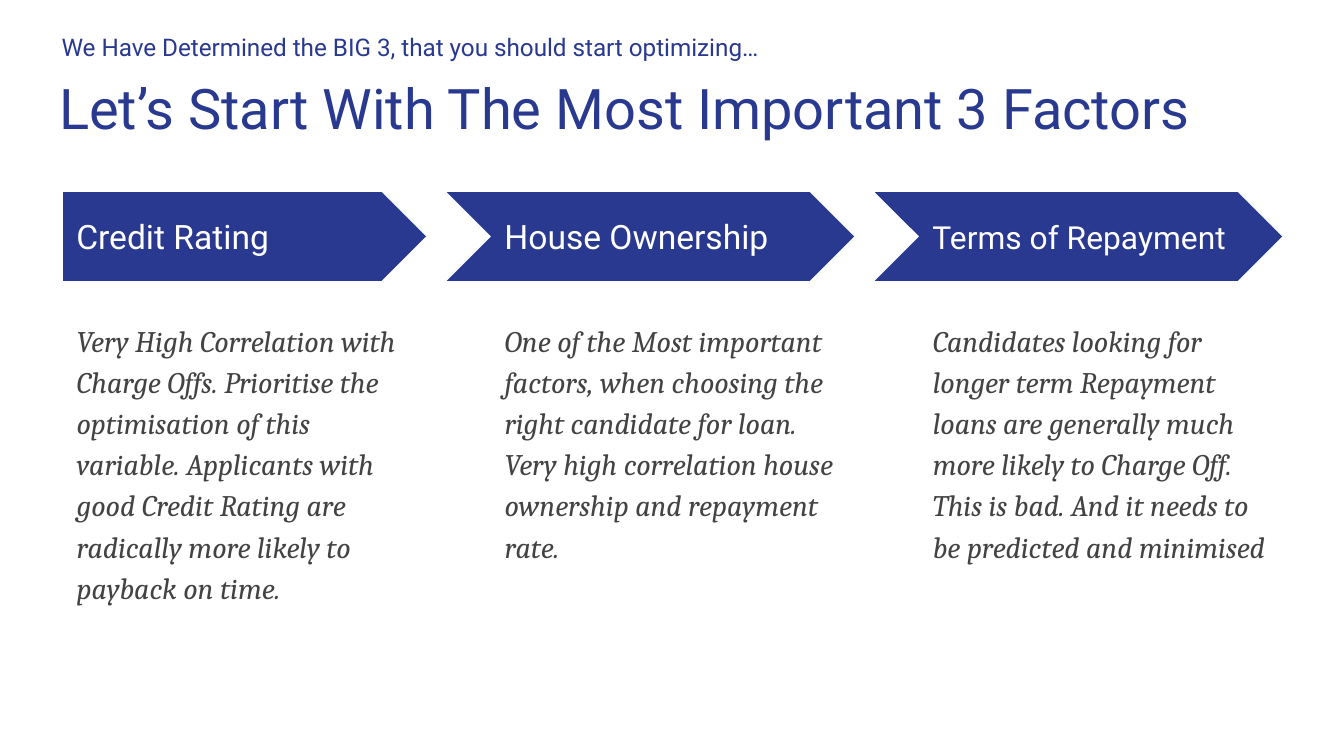
from dataclasses import dataclass

from lxml import etree
from pptx import Presentation
from pptx.dml.color import RGBColor
from pptx.enum.shapes import MSO_SHAPE
from pptx.enum.text import MSO_ANCHOR, MSO_AUTO_SIZE, PP_ALIGN
from pptx.oxml.ns import qn
from pptx.util import Inches, Pt

PLATE, CHEVRON = MSO_SHAPE.PENTAGON, MSO_SHAPE.CHEVRON
TOP, MIDDLE = MSO_ANCHOR.TOP, MSO_ANCHOR.MIDDLE
LEFT = PP_ALIGN.LEFT
NO_FIT = MSO_AUTO_SIZE.NONE
COMPARISON = 4  # layout with a title and four body placeholders

COLORS = {"navy": "2A3990", "white": "FFFFFF", "gray": "434343"}
START, LAST, WIDTH = 0.47, 6.84, 2.7
STEP = (LAST - START) / 2
NOTCH = 0.33  # how far a chevron reaches left of its text


@dataclass
class Style:
    font: str
    size: float
    color: str
    italic: bool = False
    anchor: int = TOP
    line: float = 1.0
    after: float = 0


@dataclass
class Factor:
    name: str
    text: str
    size: float = 18


FACTORS = [
    Factor("Credit Rating",
           "Very High Correlation with Charge Offs. Prioritise the optimisation "
           "of this variable. Applicants with good Credit Rating are radically "
           "more likely to payback on time."),
    Factor("House Ownership",
           "One of the Most important factors, when choosing the right candidate "
           "for loan. Very high correlation house ownership and repayment rate."),
    Factor("Terms of Repayment",
           "Candidates looking for longer term Repayment loans are generally much "
           "more likely to Charge Off. This is bad. And it needs to be predicted "
           "and minimised", 17),
]
BODY = Style("Cambria", 16, "gray", italic=True, line=1.15, after=8)


def rgb(name: str) -> RGBColor:
    return RGBColor.from_string(COLORS[name])


def place(shape, left: float, top: float, width: float, height: float) -> None:
    shape.left, shape.top = Inches(left), Inches(top)
    shape.width, shape.height = Inches(width), Inches(height)


def write(shape, text: str, style: Style) -> None:
    """Fill a text box or placeholder with one plain paragraph."""
    frame = shape.text_frame
    frame.word_wrap = True
    frame.auto_size = NO_FIT
    frame.vertical_anchor = style.anchor
    frame.margin_left = frame.margin_right = Inches(0.1)
    frame.margin_top = frame.margin_bottom = Inches(0.1)
    para = frame.paragraphs[0]
    para.alignment = LEFT
    para.line_spacing = style.line
    para.space_before, para.space_after = Pt(0), Pt(style.after)
    props = para._p.get_or_add_pPr()
    props.set("marL", "0")
    props.set("indent", "0")
    etree.SubElement(props, qn("a:buNone"))
    run = para.add_run()
    run.text = text
    font = run.font
    font.name, font.size = style.font, Pt(style.size)
    font.bold, font.italic = False, style.italic
    font.color.rgb = rgb(style.color)


def add_text(slide, left: float, top: float, width: float, height: float,
             text: str, style: Style) -> None:
    box = slide.shapes.add_textbox(0, 0, 0, 0)
    place(box, left, top, width, height)
    write(box, text, style)


def add_arrow(slide, kind: int, left: float, width: float) -> None:
    arrow = slide.shapes.add_shape(kind, 0, 0, 0, 0)
    place(arrow, left, 1.43, width, 0.66)
    arrow.adjustments[0] = 0.5
    arrow.shadow.inherit = False
    arrow.fill.solid()
    arrow.fill.fore_color.rgb = rgb("navy")
    arrow.line.fill.background()


def add_factor(slide, index: int, item: Factor, body) -> None:
    left = START + index * STEP
    notch = NOTCH if index else 0
    add_arrow(slide, CHEVRON if index else PLATE, left - notch, WIDTH + notch)
    add_text(slide, left, 1.59, 2.47, 0.34, item.name,
             Style("Roboto", item.size, "white", anchor=MIDDLE))
    place(body, left, 2.26, WIDTH, 2.9)
    write(body, item.text, BODY)


def main() -> None:
    deck = Presentation()
    deck.slide_width = Inches(10)
    deck.slide_height = deck.slide_width * 9 // 16
    slide = deck.slides.add_slide(deck.slide_layouts[COMPARISON])
    title, *bodies = slide.placeholders
    place(title, 0.34, 0.45, 9.32, 0.66)
    write(title, "Let’s Start With The Most Important 3 Factors",
          Style("Roboto", 30, "navy"))
    spare = bodies.pop()
    spare.element.getparent().remove(spare.element)
    for index, (item, body) in enumerate(zip(FACTORS, bodies)):
        add_factor(slide, index, item, body)
    add_text(slide, 0.36, 0.14, 9.19, 0.42,
             "We Have Determined the BIG 3, that you should start optimizing…",
             Style("Roboto", 13, "navy"))
    deck.save("out.pptx")


if __name__ == "__main__":
    main()
